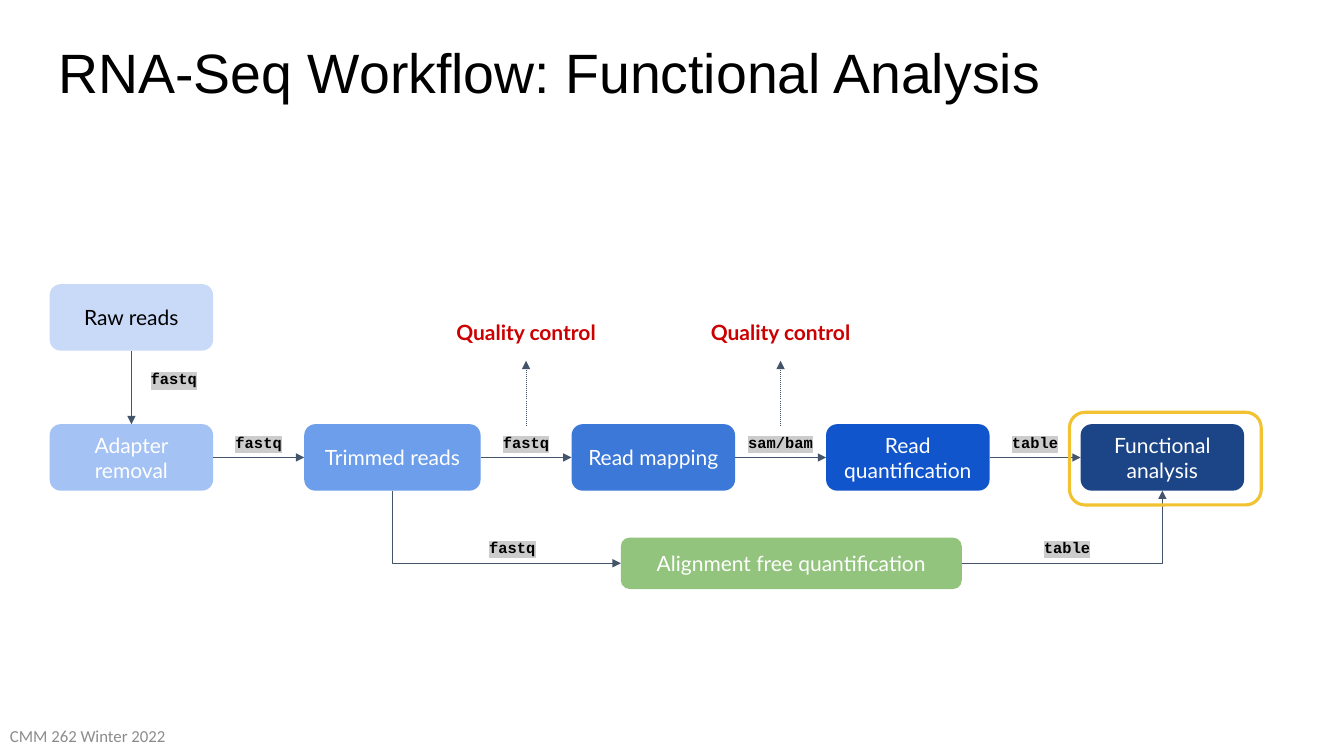
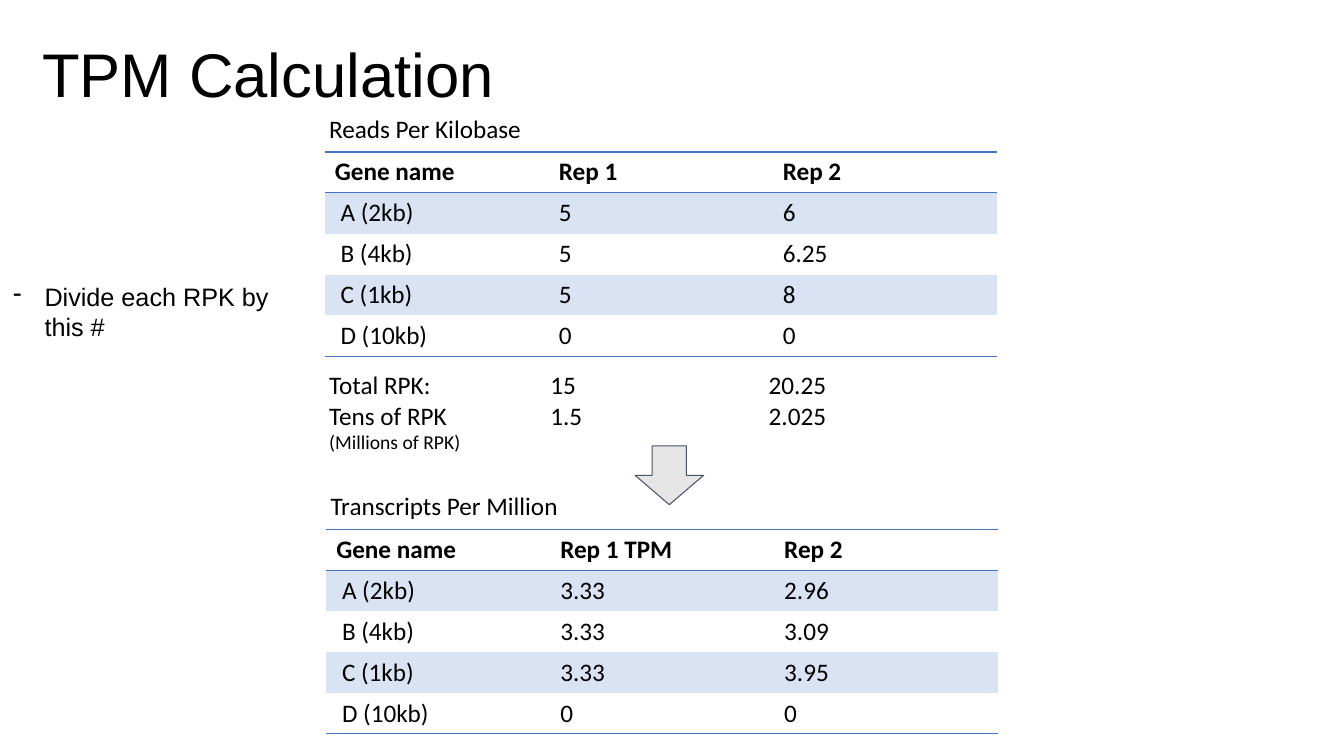
from lxml import etree
from pptx import Presentation
from pptx.dml.color import RGBColor
from pptx.enum import dml, shapes, text
from pptx.oxml import ns
from pptx.util import Pt

BLACK, WHITE, SLATE, BLUE = "000000", "FFFFFF", "44546A", "4472C4"
GREY, SILVER, RED, GOLD = "8C8C8C", "CCCCCC", "CC0000", "F1C232"
GREEN, BAND, PALE = "93C47D", "DAE3F3", "E7E6E6"
CENTER = text.PP_ALIGN.CENTER
TOP, MIDDLE, BOTTOM = (text.MSO_ANCHOR.TOP, text.MSO_ANCHOR.MIDDLE,
                       text.MSO_ANCHOR.BOTTOM)
PLAIN_TABLE = "{2D5ABB26-0587-4C30-8999-92F81FD0307C}"
SITE_TOP, SITE_LEFT, SITE_BOTTOM, SITE_RIGHT = range(4)


def rgb(color):
    """Turn a hex string into a colour."""
    return RGBColor.from_string(color)


def sub(parent, tag, **attrs):
    """Append a drawing element to a parent."""
    return etree.SubElement(parent, ns.qn("a:" + tag), **attrs)


def write(p, words, size=18, font="Calibri", color=BLACK, bold=False,
          align=text.PP_ALIGN.LEFT, highlight=None):
    """Add one formatted run to a paragraph."""
    p.alignment = align
    r = p.add_run()
    r.text = words
    r.font.size, r.font.name, r.font.bold = Pt(size), font, bold
    r.font.color.rgb = rgb(color)
    if highlight:
        mark = etree.Element(ns.qn("a:highlight"))
        sub(mark, "srgbClr", val=highlight)
        r.font.fill._xPr.find(ns.qn("a:solidFill")).addnext(mark)


def frame(tf, anchor=TOP, inset=(7.2, 3.6)):
    """Set wrapping, anchor and margins of a text frame."""
    tf.word_wrap = True
    tf.auto_size = text.MSO_AUTO_SIZE.NONE
    tf.vertical_anchor = anchor
    tf.margin_left = tf.margin_right = Pt(inset[0])
    tf.margin_top = tf.margin_bottom = Pt(inset[1])
    return tf


def label(s, x, y, w, h, words, anchor=TOP, inset=(7.2, 3.6), **style):
    """Add a text box holding one paragraph."""
    sp = s.shapes.add_textbox(Pt(x), Pt(y), Pt(w), Pt(h))
    tf = frame(sp.text_frame, anchor, inset)
    write(tf.paragraphs[0], words, **style)
    return tf


def title(s, x, y, w, h, words, size, inset=(7.2, 3.6), spacing=1.0):
    """Place and format the title placeholder."""
    sp = s.shapes.title
    sp.left, sp.top, sp.width, sp.height = Pt(x), Pt(y), Pt(w), Pt(h)
    p = frame(sp.text_frame, TOP, inset).paragraphs[0]
    p.line_spacing = spacing
    write(p, words, size=size, font="Arial")


def shape(s, kind, x, y, w, h, fill=None, line=None, width=0.75):
    """Add a preset shape with an optional fill and outline."""
    sp = s.shapes.add_shape(kind, Pt(x), Pt(y), Pt(w), Pt(h))
    sp.shadow.inherit = False
    if fill:
        sp.fill.solid()
        sp.fill.fore_color.rgb = rgb(fill)
    else:
        sp.fill.background()
    if line:
        sp.line.color.rgb = rgb(line)
        sp.line.width = Pt(width)
    else:
        sp.line.fill.background()
    return sp


def step(s, x, y, w, h, words, fill, color=WHITE):
    """Add one rounded workflow box."""
    sp = shape(s, shapes.MSO_SHAPE.ROUNDED_RECTANGLE, x, y, w, h, fill)
    tf = frame(sp.text_frame, MIDDLE, (9.4, 9.4))
    write(tf.paragraphs[0], words, size=15, font="Lato", color=color,
          align=CENTER)
    return sp


def arrow(s, start=None, end=None, points=(0, 0, 0, 0), dotted=False,
          elbow=False, tip="tailEnd"):
    """Draw an arrow between two connection sites or two points."""
    kind = shapes.MSO_CONNECTOR.ELBOW if elbow else shapes.MSO_CONNECTOR.STRAIGHT
    c = s.shapes.add_connector(kind, *map(Pt, points))
    if start and end:
        c.begin_connect(*start)
        c.end_connect(*end)
    c.line.color.rgb = rgb(SLATE)
    c.line.width = Pt(0.75)
    if dotted:
        c.line.dash_style = dml.MSO_LINE.ROUND_DOT
    props = c._element.spPr
    if elbow:
        props.find(ns.qn("a:prstGeom")).set("prst", "bentConnector2")
    sub(props.find(ns.qn("a:ln")), tip, type="triangle")
    sub(props, "effectLst")


def file_tag(s, cx, cy, words):
    """Add a highlighted file type centred on a point."""
    label(s, cx - 40, cy - 11.5, 80, 23, words, MIDDLE, (0, 0), size=11,
          font="Courier New", bold=True, align=CENTER, highlight=SILVER)


def workflow(s, x, y):
    """Draw the whole workflow from its top left corner."""
    box_w, box_h, gap, row = 116.8, 47.5, 65, y + 100
    mid = row + box_h / 2
    steps = [("Adapter removal", "A4C2F4", box_w, None, False),
             ("Trimmed reads", "6D9EEB", 126, "fastq", False),
             ("Read mapping", "3C78D8", box_w, "fastq", True),
             ("Read quantification", "1155CC", box_w, "sam/bam", True),
             ("Functional analysis", "1C4587", box_w, "table", False)]
    boxes, left = [], x
    for words, fill, w, tag, checked in steps:
        boxes.append(step(s, left, row, w, box_h, words, fill))
        if tag:
            cx = left - gap / 2
            arrow(s, (boxes[-2], SITE_RIGHT), (boxes[-1], SITE_LEFT))
            file_tag(s, cx, mid - 10.8, tag)
        if checked:
            arrow(s, points=(cx, row + 1.5, cx, row - 45.3), dotted=True)
            label(s, cx - 70, row - 84, 140, 36.6, "Quality control", BOTTOM,
                  (9.4, 9.4), size=15, font="Lato", color=RED, bold=True,
                  align=CENTER)
        left += w + gap
    last = left - gap - box_w

    raw = step(s, x, y, box_w, box_h, "Raw reads", "C9DAF8", BLACK)
    arrow(s, (raw, SITE_BOTTOM), (boxes[0], SITE_TOP))
    file_tag(s, x + 88.6, y + 67.5, "fastq")

    direct = step(s, x + 408, y + 181, 243.5, 36.7,
                  "Alignment free quantification", GREEN)
    arrow(s, (direct, SITE_LEFT), (boxes[1], SITE_BOTTOM), elbow=True,
          tip="headEnd")
    arrow(s, (direct, SITE_RIGHT), (boxes[-1], SITE_BOTTOM), elbow=True)
    for dx, words in ((330.5, "fastq"), (726.8, "table")):
        file_tag(s, x + dx, y + 188, words)
    shape(s, shapes.MSO_SHAPE.ROUNDED_RECTANGLE, last - 8, row - 8.5, 137, 66.2,
          line=GOLD, width=2.25)


def edge(cell, tag):
    """Rule one side of a cell."""
    ln = etree.Element(ns.qn("a:" + tag), w=str(Pt(1)))
    sub(sub(ln, "solidFill"), "srgbClr", val=BLUE)
    return ln


def gene_table(s, x, y, caption, rows):
    """Draw a captioned table with ruled header and banded rows."""
    label(s, x - 4, y - 31.2, 190, 29, caption)
    row_h, col_w = 29.15, 160
    graphic = s.shapes.add_table(len(rows), 3, Pt(x), Pt(y), Pt(3 * col_w),
                                 Pt(len(rows) * row_h))
    table = graphic.table
    table.first_row = table.horz_banding = False
    table._tbl.tblPr.find(ns.qn("a:tableStyleId")).text = PLAIN_TABLE
    for col in table.columns:
        col.width = Pt(col_w)
    for i, values in enumerate(rows):
        table.rows[i].height = Pt(row_h)
        sides = {0: ("lnT", "lnB"), len(rows) - 1: ("lnB",)}.get(i, ())
        for j, value in enumerate(values):
            cell = table.cell(i, j)
            cell.margin_left = Pt(11.3 if i and not j else 7.2)
            write(cell.text_frame.paragraphs[0], value, bold=i == 0)
            if i % 2:
                cell.fill.solid()
                cell.fill.fore_color.rgb = rgb(BAND)
            else:
                cell.fill.background()
            for k, tag in enumerate(sides):
                cell._tc.tcPr.insert(k, edge(cell, tag))


def totals(s, x, y, w, h):
    """List the totals under their table columns with tab stops."""
    sp = s.shapes.add_textbox(Pt(x), Pt(y), Pt(w), Pt(h))
    tf = frame(sp.text_frame)
    lines = [("Total RPK:\t15\t20.25", 18), ("Tens of RPK\t1.5\t2.025", 18),
             ("(Millions of RPK)", 14)]
    for i, (words, size) in enumerate(lines):
        p = tf.add_paragraph() if i else tf.paragraphs[0]
        stops = sub(p._p.get_or_add_pPr(), "tabLst")
        for pos in (158, 314):
            sub(stops, "tab", pos=str(Pt(pos)), algn="l")
        write(p, words, size=size)


def dash_note(s, x, y, w, h, words):
    """Add a note with a dash as its bullet."""
    tf = label(s, x, y, w, h, words, font="Arial")
    props = tf.paragraphs[0]._p.get_or_add_pPr()
    props.set("marL", str(Pt(22.5)))
    props.set("indent", str(-Pt(22.5)))
    sub(props, "buChar", char="-")


def workflow_slide(prs):
    """Build the workflow slide."""
    s = prs.slides.add_slide(prs.slide_layouts[5])
    title(s, 32.4, 23, 894, 60, "RNA-Seq Workflow: Functional Analysis", 39.6,
          (9.4, 9.4), 0.9)
    label(s, 0, 511, 324, 29, "CMM 262 Winter 2022", MIDDLE, size=12,
          color=GREY)
    workflow(s, 35.5, 203)


def tpm_slide(prs):
    """Build the calculation slide."""
    s = prs.slides.add_slide(prs.slide_layouts[5])
    title(s, 23, 22.3, 457, 65.5, "TPM Calculation", 44)
    genes = ["A (2kb)", "B (4kb)", "C (1kb)", "D (10kb)"]
    rpk = zip(genes, ["5", "5", "5", "0"], ["6", "6.25", "8", "0"])
    tpm = zip(genes, ["3.33", "3.33", "3.33", "0"],
              ["2.96", "3.09", "3.95", "0"])
    gene_table(s, 232, 108.5, "Reads Per Kilobase",
               [("Gene name", "Rep 1", "Rep 2"), *rpk])
    totals(s, 228, 260.6, 586, 68)
    shape(s, shapes.MSO_SHAPE.DOWN_ARROW, 453.6, 318.5, 49, 42, PALE, SLATE)
    gene_table(s, 233, 378.2, "Transcripts Per Million",
               [("Gene name", "Rep 1 TPM", "Rep 2"), *tpm])
    dash_note(s, 2.2, 197.3, 228, 51, "Divide each RPK by this #")


def main():
    """Build and save the presentation."""
    prs = Presentation()
    prs.slide_width, prs.slide_height = Pt(960), Pt(540)
    workflow_slide(prs)
    tpm_slide(prs)
    prs.save("out.pptx")


if __name__ == "__main__":
    main()
